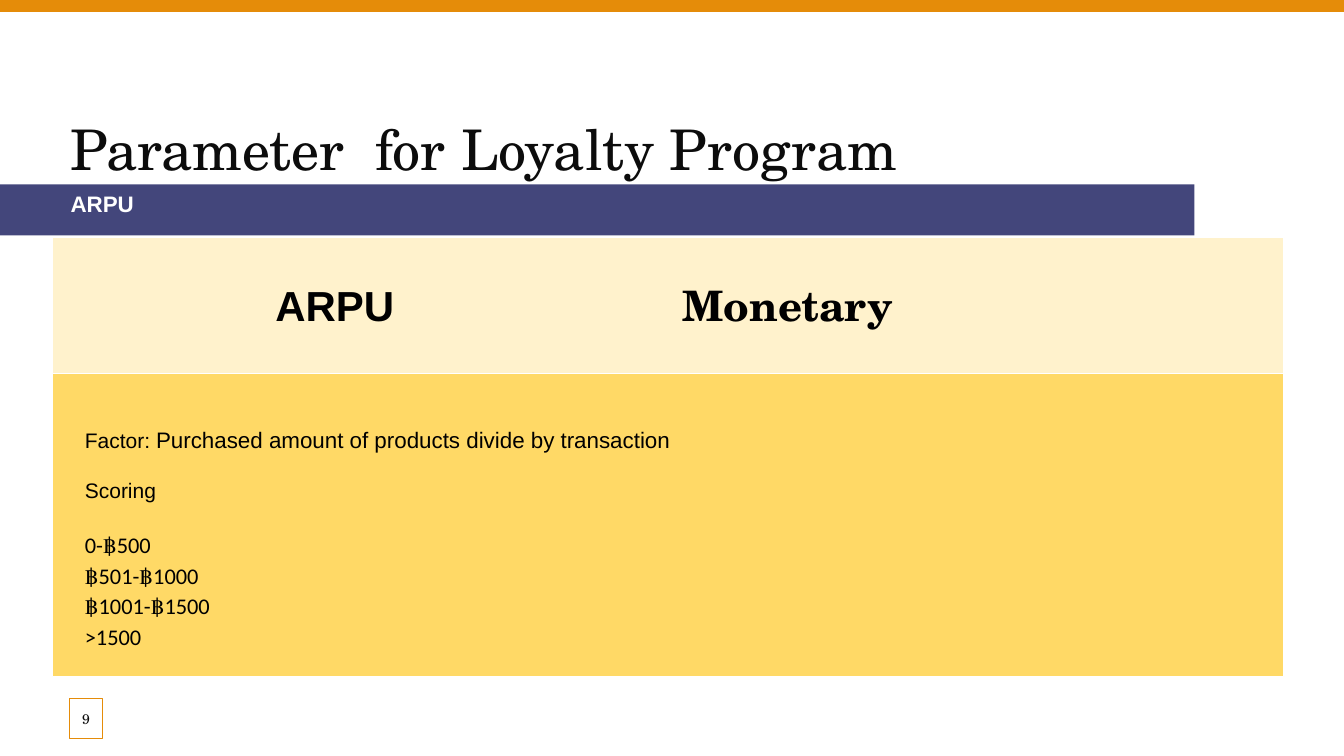
from lxml.etree import SubElement
from pptx import Presentation
from pptx.dml.color import RGBColor
from pptx.enum.shapes import MSO_SHAPE as Shape
from pptx.enum.text import MSO_ANCHOR as Anchor, PP_ALIGN as Align
from pptx.oxml.ns import qn
from pptx.util import Cm, Pt

COLORS = {
    "orange": "E58C09", "indigo": "43467B", "cream": "FFF2CC",
    "gold": "FFD966", "white": "FFFFFF", "ink": "0C0C0C", "black": "000000",
}
SERIF, SANS, DIGITS = "TeX Gyre Schola", "Arial", "Calibri"
WIDTH, HEIGHT = 33.87, 19.05


def color(name):
    return RGBColor.from_string(COLORS[name])


def set_font(font, name, size, ink="black", bold=False):
    font.name, font.size, font.bold = name, Pt(size), bold
    font.color.rgb = color(ink)


def set_frame(frame, side=0.25, top=0.25, anchor=Anchor.TOP):
    frame.word_wrap = True
    frame.margin_left = frame.margin_right = Cm(side)
    frame.margin_top = frame.margin_bottom = Cm(top)
    frame.vertical_anchor = anchor


def add_panel(slide, left, top, width, height, fill, line=None):
    shape = slide.shapes.add_shape(
        Shape.RECTANGLE, Cm(left), Cm(top), Cm(width), Cm(height))
    shape.shadow.inherit = False
    shape.fill.solid()
    shape.fill.fore_color.rgb = color(fill)
    if line:
        shape.line.color.rgb = color(line)
        shape.line.width = Pt(0.75)
    else:
        shape.line.fill.background()
    return shape


def add_text_box(slide, left, top, width, height):
    frame = slide.shapes.add_textbox(
        Cm(left), Cm(top), Cm(width), Cm(height)).text_frame
    set_frame(frame)
    return frame


def place_title(slide, left, top, width, height):
    title = slide.shapes.title
    title.left, title.top = Cm(left), Cm(top)
    title.width, title.height = Cm(width), Cm(height)
    set_frame(title.text_frame, top=0.13, anchor=Anchor.MIDDLE)
    paragraph = title.text_frame.paragraphs[0]
    paragraph.text = "Parameter  for Loyalty Program"
    paragraph.alignment = Align.LEFT
    set_font(paragraph.font, SERIF, 40, "ink")


def add_subtitle_bar(slide, left, top, width, height):
    frame = add_panel(slide, left, top, width, height, "indigo").text_frame
    set_frame(frame, side=1.78, top=0.13)
    paragraph = frame.paragraphs[0]
    paragraph.text = "ARPU"
    paragraph.alignment = Align.LEFT
    set_font(paragraph.font, SANS, 16, "white", bold=True)


def add_heading_band(slide, left, top, width, height):
    add_panel(slide, left, top, width, height, "cream", "white")
    headings = [("ARPU", SANS, 5.36, 4.6), ("Monetary", SERIF, 15.62, 8.56)]
    for text, font_name, offset, box_width in headings:
        frame = add_text_box(slide, left + offset, top + 0.81, box_width, 1.8)
        frame.paragraphs[0].text = text
        set_font(frame.paragraphs[0].font, font_name, 30, bold=True)


def add_scoring_panel(slide, left, top, width, height):
    add_panel(slide, left, top, width, height, "gold", "white")
    frame = add_text_box(slide, left + 0.56, top + 1.07, width - 0.94, height - 1.2)

    factor = frame.paragraphs[0]
    label, value = factor.add_run(), factor.add_run()
    label.text = "Factor: "
    value.text = "Purchased amount of products divide by transaction"
    set_font(label.font, SANS, 15)
    set_font(value.font, SANS, 16)

    scoring = frame.add_paragraph()
    scoring.text = "Scoring"
    scoring.space_before = scoring.space_after = Pt(17.5)
    set_font(scoring.font, SANS, 15)

    for score in ("0-฿500", "฿501-฿1000", "฿1001-฿1500", ">1500"):
        paragraph = frame.add_paragraph()
        paragraph.text = score
        paragraph.line_spacing = 1.15
        set_font(paragraph.font, DIGITS, 16)


def add_page_number(slide, left, top, width, height):
    shape = add_panel(slide, left, top, width, height, "white", "orange")
    fill = shape.fill._xPr.find(qn("a:solidFill"))
    SubElement(fill[0], qn("a:alpha"), val="82000")
    set_frame(shape.text_frame, side=0, top=0.13, anchor=Anchor.MIDDLE)
    paragraph = shape.text_frame.paragraphs[0]
    paragraph.text = "9"
    paragraph.alignment = Align.CENTER
    set_font(paragraph.font, SERIF, 10, "ink")


def main():
    presentation = Presentation()
    presentation.slide_width, presentation.slide_height = Cm(WIDTH), Cm(HEIGHT)
    slide = presentation.slides.add_slide(presentation.slide_layouts[5])
    add_panel(slide, 0, 0, WIDTH, 0.3, "orange")
    place_title(slide, 1.52, 2.74, 30.02, 1.96)
    add_subtitle_bar(slide, 0, 4.65, 30.1, 1.28)
    add_heading_band(slide, 1.33, 5.99, 31.03, 3.42)
    add_scoring_panel(slide, 1.33, 9.41, 31.03, 7.64)
    add_page_number(slide, 1.75, 17.6, 0.84, 1.02)
    presentation.save("out.pptx")


if __name__ == "__main__":
    main()
